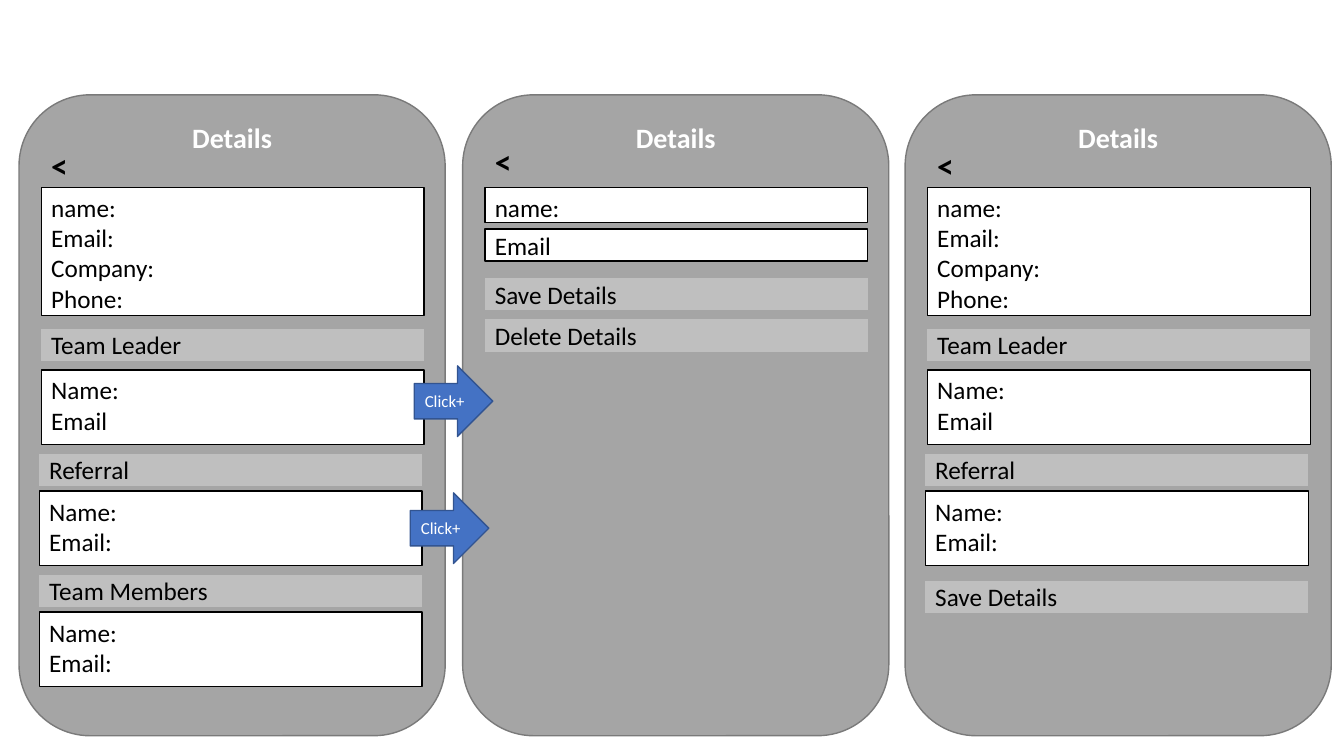
from dataclasses import dataclass

from pptx import Presentation
from pptx import util as u
from pptx.dml.color import RGBColor
from pptx.enum import shapes, text

WHITE = RGBColor(0xFF, 0xFF, 0xFF)
BLACK = RGBColor(0x00, 0x00, 0x00)
PANEL_GREY = RGBColor(0xA5, 0xA5, 0xA5)
PANEL_EDGE = RGBColor(0x7A, 0x7A, 0x7A)
BAR_GREY = RGBColor(0xBF, 0xBF, 0xBF)
ARROW_BLUE = RGBColor(0x44, 0x72, 0xC4)
ARROW_EDGE = RGBColor(0x32, 0x54, 0x91)

PANEL_TOP, PANEL_WIDTH, PANEL_HEIGHT = 2.39, 10.74, 16.15
FIELD_WIDTH, FIELD_INSET, NARROW_INSET = 9.65, 0.56, 0.51
FIELDS_TOP, BAR_HEIGHT, PERSON_HEIGHT = 4.72, 0.81, 1.88


@dataclass(frozen=True)
class Style:
    preset: shapes.MSO_SHAPE
    fill: RGBColor
    edge: RGBColor | None
    color: RGBColor
    size: int
    bold: bool = False
    align: text.PP_ALIGN = text.PP_ALIGN.LEFT
    anchor: text.MSO_ANCHOR = text.MSO_ANCHOR.TOP
    wrap: bool = True


@dataclass(frozen=True)
class Field:
    style: Style
    top: float
    height: float
    lines: tuple[str, ...]
    inset: float = FIELD_INSET


@dataclass(frozen=True)
class Panel:
    left: float
    back_top: float
    fields: tuple[Field, ...]


PROCESS = shapes.MSO_SHAPE.FLOWCHART_PROCESS
MIDDLE, CENTER = text.MSO_ANCHOR.MIDDLE, text.PP_ALIGN.CENTER
PANEL = Style(shapes.MSO_SHAPE.ROUNDED_RECTANGLE, PANEL_GREY, PANEL_EDGE,
              WHITE, 20, bold=True, align=CENTER)
BOX = Style(PROCESS, WHITE, BLACK, BLACK, 18)
ENTRY = Style(PROCESS, WHITE, BLACK, BLACK, 18, anchor=MIDDLE)
BAR = Style(PROCESS, BAR_GREY, None, BLACK, 18, anchor=MIDDLE)
ARROW = Style(shapes.MSO_SHAPE.RIGHT_ARROW, ARROW_BLUE, ARROW_EDGE,
              WHITE, 12, align=CENTER, anchor=MIDDLE, wrap=False)


def bar(top: float, label: str, inset: float = FIELD_INSET) -> Field:
    return Field(BAR, top, BAR_HEIGHT, (label,), inset)


def person(top: float, email: str = "Email:", inset: float = NARROW_INSET) -> Field:
    return Field(BOX, top, PERSON_HEIGHT, ("Name:", email), inset)


COMMON_FIELDS = (
    Field(BOX, FIELDS_TOP, 3.23, ("name:", "Email:", "Company:", "Phone:")),
    bar(8.28, "Team Leader"),
    person(9.32, "Email", FIELD_INSET),
    bar(11.43, "Referral", NARROW_INSET),
    person(12.37),
)
PANELS = (
    Panel(11.66, 3.43, (
        Field(BOX, FIELDS_TOP, 0.89, ("name:",)),
        Field(ENTRY, 5.77, BAR_HEIGHT, ("Email",)),
        bar(7.01, "Save Details"),
        bar(8.05, "Delete Details"),
    )),
    Panel(0.48, 3.53, COMMON_FIELDS + (
        bar(14.48, "Team Members", NARROW_INSET),
        person(15.42),
    )),
    Panel(22.81, 3.53, COMMON_FIELDS + (
        bar(14.63, "Save Details", NARROW_INSET),
    )),
)
CLICK_ARROWS = ((10.44, 9.22), (10.34, 12.42))


def apply_format(target, values: dict) -> None:
    for name, value in values.items():
        setattr(target, name, value)


def write_lines(frame, lines: tuple[str, ...], align: text.PP_ALIGN,
                size: int, color: RGBColor, bold: bool) -> None:
    for index, line in enumerate(lines):
        paragraph = frame.add_paragraph() if index else frame.paragraphs[0]
        paragraph.alignment = align
        run = paragraph.add_run()
        run.text = line
        apply_format(run.font, {"name": "Calibri", "size": u.Pt(size), "bold": bold})
        run.font.color.rgb = color


def add_block(slide, style: Style, left: float, top: float, width: float,
              height: float, lines: tuple[str, ...]) -> None:
    """Draw a filled preset shape with its text."""
    shape = slide.shapes.add_shape(
        style.preset, u.Cm(left), u.Cm(top), u.Cm(width), u.Cm(height))
    shape.shadow.inherit = False
    shape.fill.solid()
    shape.fill.fore_color.rgb = style.fill
    if style.edge is None:
        shape.line.fill.background()
    else:
        shape.line.color.rgb = style.edge
        shape.line.width = u.Pt(1)
    apply_format(shape.text_frame,
                 {"word_wrap": style.wrap, "vertical_anchor": style.anchor})
    write_lines(shape.text_frame, lines, style.align, style.size, style.color, style.bold)


def add_back_button(slide, left: float, top: float) -> None:
    frame = slide.shapes.add_textbox(
        u.Cm(left), u.Cm(top), u.Cm(0.94), u.Cm(1.27)).text_frame
    apply_format(frame, {"word_wrap": False,
                         "auto_size": text.MSO_AUTO_SIZE.SHAPE_TO_FIT_TEXT})
    write_lines(frame, ("<",), text.PP_ALIGN.LEFT, 24, BLACK, True)


def add_panel(slide, panel: Panel) -> None:
    add_block(slide, PANEL, panel.left, PANEL_TOP, PANEL_WIDTH, PANEL_HEIGHT, ("Details",))
    add_back_button(slide, panel.left + FIELD_INSET, panel.back_top)
    for field in panel.fields:
        add_block(slide, field.style, panel.left + field.inset, field.top,
                  FIELD_WIDTH, field.height, field.lines)


def main() -> None:
    presentation = Presentation()
    apply_format(presentation, {"slide_width": u.Cm(33.87), "slide_height": u.Cm(19.05)})
    slide = presentation.slides.add_slide(presentation.slide_layouts.get_by_name("Blank"))
    for panel in PANELS:
        add_panel(slide, panel)
    for left, top in CLICK_ARROWS:
        add_block(slide, ARROW, left, top, 1.98, 1.78, ("Click+",))
    presentation.save("out.pptx")


if __name__ == "__main__":
    main()
